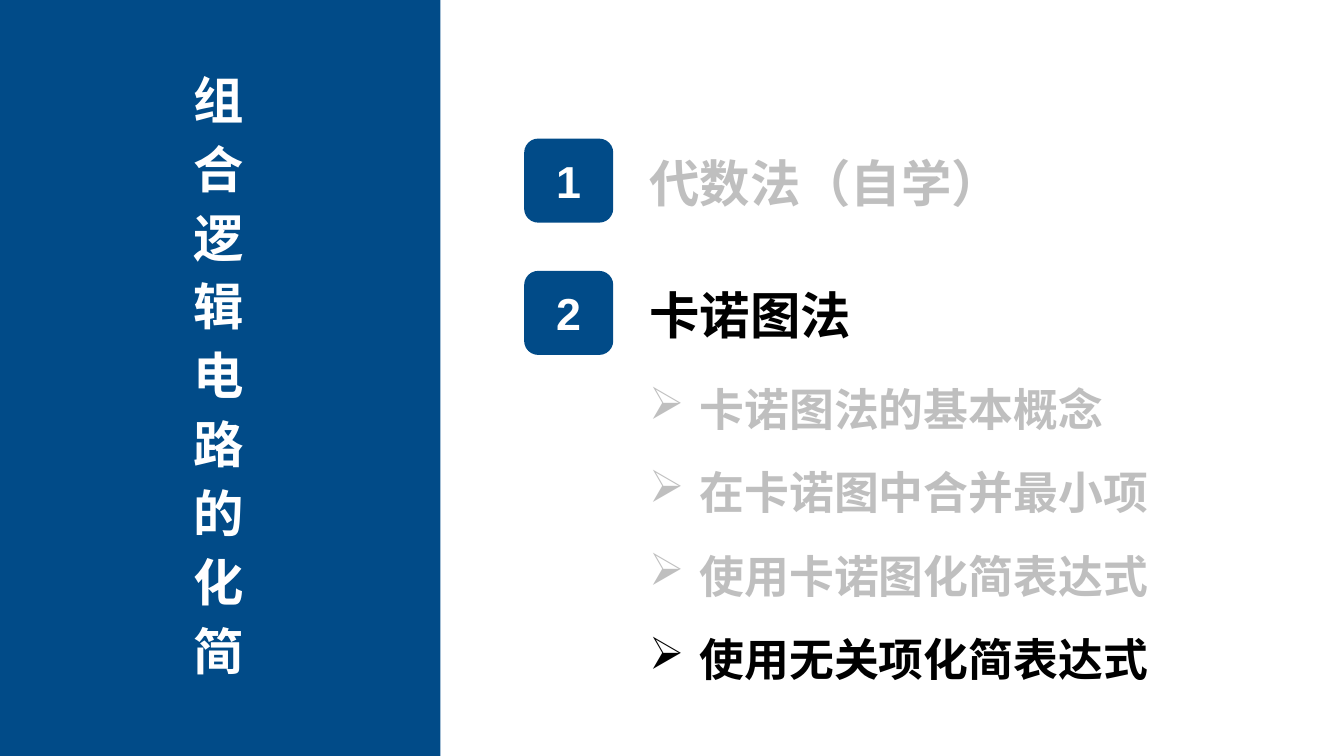
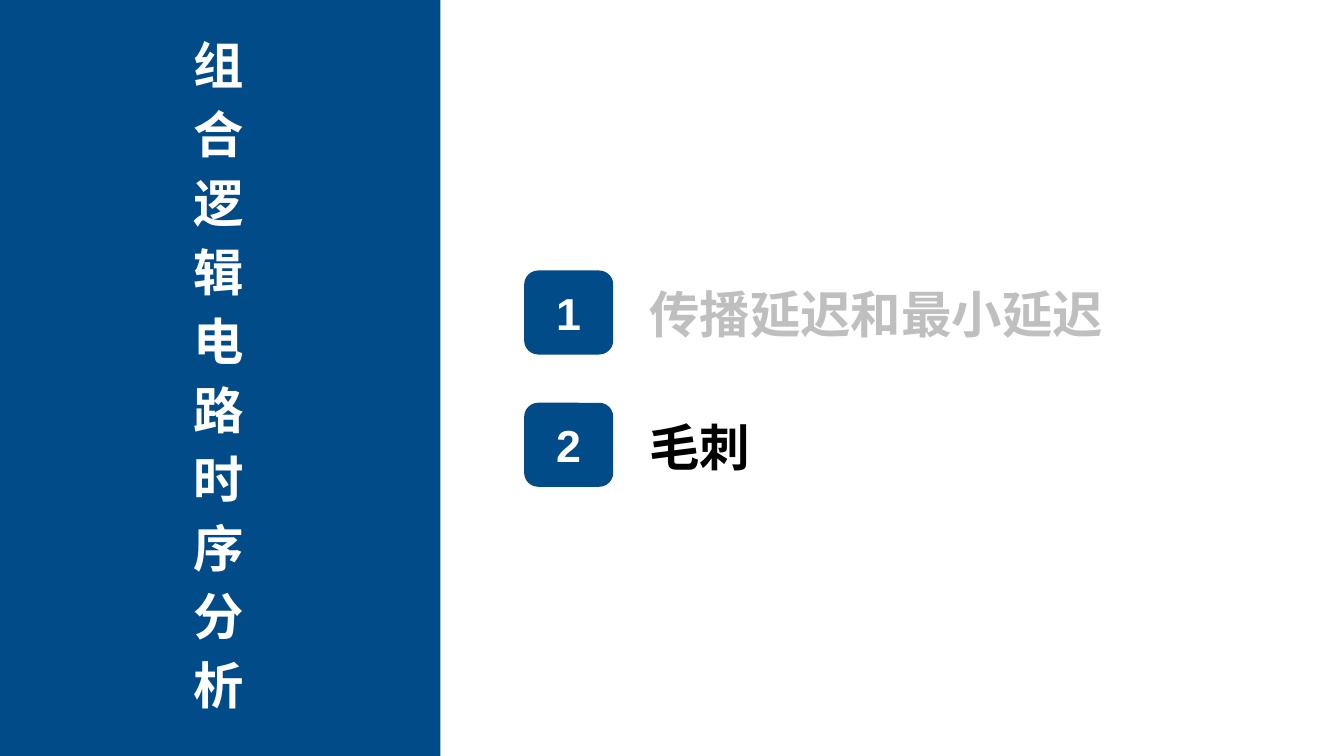
from lxml import etree
from pptx import Presentation
from pptx.dml.color import RGBColor
from pptx.enum import shapes, text
from pptx.oxml import ns
from pptx import util as u

COLS, ROWS = 160, 90
HUES = {"blue": "014B88", "white": "FFFFFF", "grey": "BFBFBF", "black": "000000"}
FACE = "Arial"
BIG, MID = 36, 32
LEFT, WIDE = 77.28, 66.72
STEP = 15.75


class Deck:
    def __init__(self):
        self.prs = Presentation()
        self.prs.slide_width = u.Inches(13.33)
        self.prs.slide_height = u.Inches(7.5)
        self.page = None

    def open(self, title):
        self.page = self.prs.slides.add_slide(self.prs.slide_layouts[6])
        self.block(shapes.MSO_SHAPE.RECTANGLE, 0, 0, 52.44, ROWS)
        self.title(title)

    def grid(self, x, y, w, h):
        col = self.prs.slide_width / COLS
        row = self.prs.slide_height / ROWS
        return [round(n) for n in (x * col, y * row, w * col, h * row)]

    def style(self, para, size, hue):
        font = para.font
        font.name, font.size, font.bold = FACE, u.Pt(size), True
        font.color.rgb = RGBColor.from_string(HUES[hue])

    def block(self, kind, x, y, w, h):
        shape = self.page.shapes.add_shape(kind, *self.grid(x, y, w, h))
        shape.shadow.inherit = False
        shape.fill.solid()
        shape.fill.fore_color.rgb = RGBColor.from_string(HUES["blue"])
        shape.line.fill.background()
        return shape

    def words(self, x, y, w, h, lines, size, hue, anchor=text.MSO_ANCHOR.MIDDLE):
        frame = self.page.shapes.add_textbox(*self.grid(x, y, w, h)).text_frame
        frame.word_wrap = True
        frame.auto_size = text.MSO_AUTO_SIZE.SHAPE_TO_FIT_TEXT
        frame.vertical_anchor = anchor
        frame.margin_left = frame.margin_right = 0
        frame.margin_top = frame.margin_bottom = 0
        frame.text = "\n".join(lines)
        return frame.paragraphs

    def title(self, name):
        high = len(name) * 8.18
        paras = self.words(13.56, (ROWS - high) / 2, 24.96, high, name,
                           BIG, "white", text.MSO_ANCHOR.TOP)
        for para in paras:
            para.alignment = text.PP_ALIGN.CENTER
            para.space_after = u.Pt(6)
            self.style(para, BIG, "white")

    def badge(self, num, y):
        shape = self.block(shapes.MSO_SHAPE.ROUNDED_RECTANGLE, 62.4, y, 10.6, 10)
        frame = shape.text_frame
        frame.margin_left = frame.margin_right = u.Inches(0.08)
        frame.vertical_anchor = text.MSO_ANCHOR.MIDDLE
        frame.text = str(num)
        para = frame.paragraphs[0]
        para.alignment = text.PP_ALIGN.CENTER
        self.style(para, MID, "white")

    def topics(self, top, items):
        for i, (name, hue) in enumerate(items):
            y = top + i * STEP
            self.badge(i + 1, y)
            para = self.words(LEFT, y + 1.5, WIDE, 7.3, [name], BIG, hue)[0]
            self.style(para, BIG, hue)

    def points(self, top, items):
        for i, (name, hue) in enumerate(items):
            para = self.words(LEFT, top + i * 9.92, WIDE, 6.46, [name], MID, hue)[0]
            props = para._p.get_or_add_pPr()
            dent = u.Inches(0.5)
            props.set("marL", str(dent))
            props.set("indent", str(-dent))
            etree.SubElement(props, ns.qn("a:buChar")).set("char", "➢")
            self.style(para, MID, hue)


def main():
    deck = Deck()
    deck.open("组合逻辑电路的化简")
    deck.topics(16.5, [("代数法（自学）", "grey"), ("卡诺图法", "black")])
    deck.points(45.4, [
        ("卡诺图法的基本概念", "grey"),
        ("在卡诺图中合并最小项", "grey"),
        ("使用卡诺图化简表达式", "grey"),
        ("使用无关项化简表达式", "black"),
    ])
    deck.open("组合逻辑电路时序分析")
    deck.topics(32.2, [("传播延迟和最小延迟", "grey"), ("毛刺", "black")])
    deck.prs.save("out.pptx")


if __name__ == "__main__":
    main()
